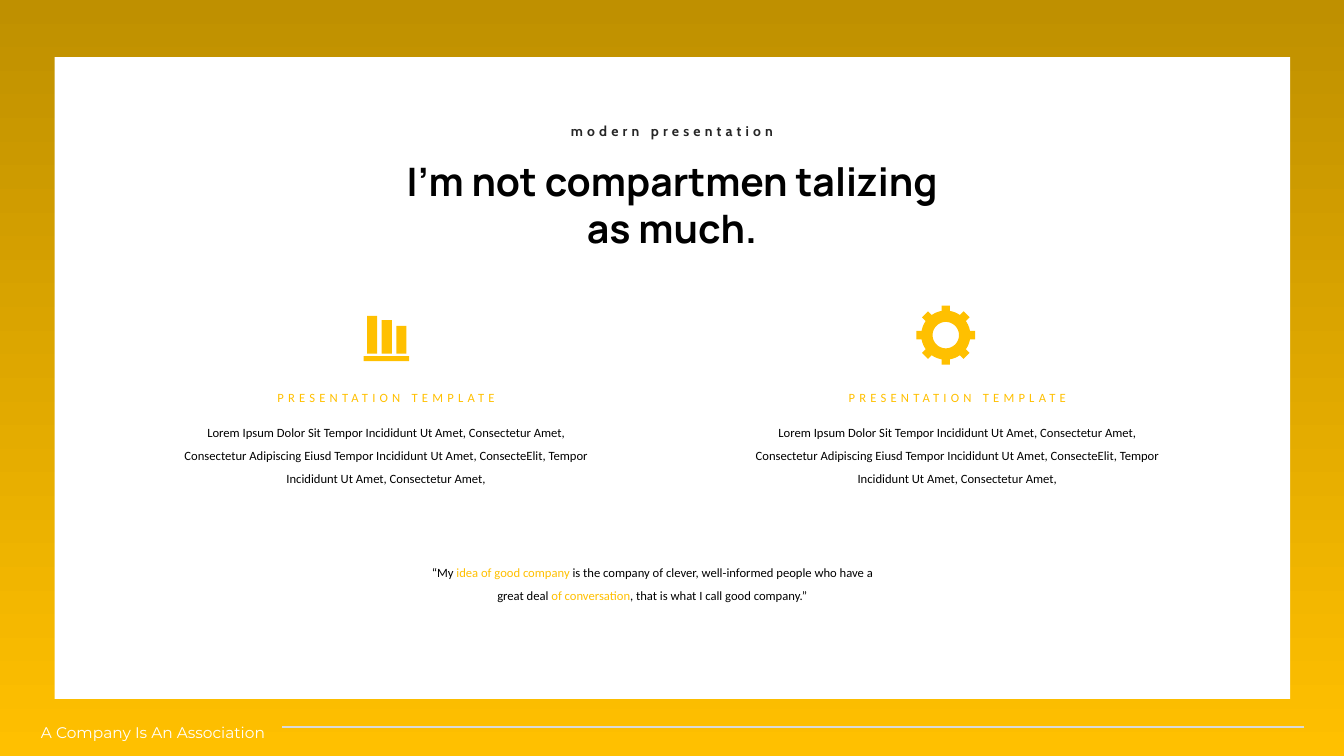
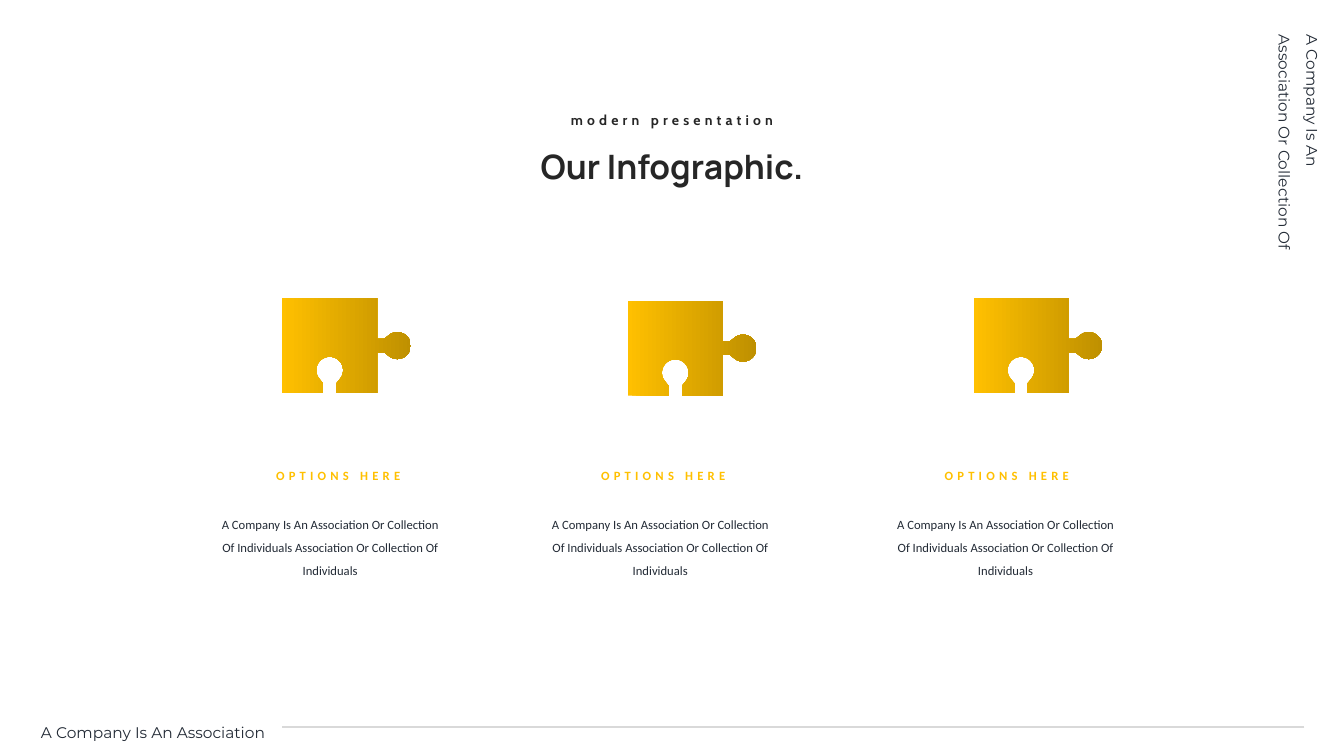
from dataclasses import dataclass
from math import cos, hypot, radians, sin

from lxml.etree import SubElement
from pptx import Presentation
from pptx.dml.color import RGBColor
from pptx.enum.shapes import MSO_CONNECTOR, MSO_SHAPE
from pptx.enum.text import MSO_ANCHOR, MSO_AUTO_SIZE, PP_ALIGN
from pptx.oxml.ns import qn
from pptx.shapes.autoshape import Shape
from pptx.slide import Slide
from pptx.util import Inches, Pt

COLORS = {
    "gold": "FFC000",
    "bronze": "BF9000",
    "white": "FFFFFF",
    "black": "000000",
    "charcoal": "262626",
    "navy": "222A35",
    "rule": "D9D9D9",
}
COLUMNS, ROWS = 160, 90
CELL = Inches(7.5) / ROWS
Point = tuple[float, float]


@dataclass(frozen=True)
class Box:
    col: float
    row: float
    cols: float
    rows: float

    def emu(self) -> list[int]:
        return [cells(n) for n in (self.col, self.row, self.cols, self.rows)]


@dataclass(frozen=True)
class Style:
    font: str
    size: float
    color: str
    bold: bool = False
    tracking: float = 0
    align: PP_ALIGN = PP_ALIGN.CENTER
    leading: float = 1.0


@dataclass(frozen=True)
class Option:
    puzzle_row: float
    label_col: float
    text_col: float


BODY = Style("Calibri", 9, "black", leading=1.5)
OPTION_BODY = Style("Calibri", 9, "navy", leading=1.5)
FEATURE_LABEL = Style("Calibri", 9, "gold", tracking=3, leading=1.5)
OPTION_LABEL = Style("Calibri", 9, "gold", bold=True, tracking=3)
EYEBROW = Style("Cabin", 10, "charcoal", bold=True, tracking=3)

FEATURE_COLS = (20.4, 88.4)
FEATURE_TEXT = (
    "Lorem Ipsum Dolor Sit Tempor Incididunt Ut Amet, Consectetur Amet, "
    "Consectetur Adipiscing Eiusd Tempor Incididunt Ut Amet, ConsecteElit, "
    "Tempor Incididunt Ut Amet, Consectetur Amet,"
)
QUOTE = (
    ("“My ", "black"),
    ("idea of good company ", "gold"),
    ("is the company of clever, well-informed people who have a great deal ", "black"),
    ("of conversation", "gold"),
    (", that is what I call good company.”", "black"),
)
OPTIONS = (
    Option(35.5, 29.8, 25),
    Option(35.8, 68.5, 64.3),
    Option(35.5, 109.4, 105.4),
)
OPTION_TEXT = (
    "A Company Is An Association Or Collection Of Individuals "
    "Association Or Collection Of Individuals"
)


def cells(count: float) -> int:
    return round(count * CELL)


def rgb(color: str) -> RGBColor:
    return RGBColor.from_string(COLORS[color])


def footer_style(color: str) -> Style:
    return Style("Montserrat", 11, color, align=PP_ALIGN.LEFT, leading=1.5)


def format_text(holder: Shape, style: Style) -> None:
    frame = holder.text_frame
    frame.word_wrap = True
    frame.auto_size = MSO_AUTO_SIZE.SHAPE_TO_FIT_TEXT
    frame.vertical_anchor = MSO_ANCHOR.TOP
    for paragraph in frame.paragraphs:
        paragraph.alignment = style.align
        paragraph.line_spacing = style.leading
        for run in paragraph.runs:
            run.font.name = style.font
            run.font.size = Pt(style.size)
            run.font.bold = style.bold
            run.font.color.rgb = rgb(style.color)
            if style.tracking:
                run.font._element.set("spc", str(int(style.tracking * 100)))


def add_text(slide: Slide, box: Box, text: str, style: Style) -> Shape:
    holder = slide.shapes.add_textbox(*box.emu())
    holder.text_frame.text = text
    format_text(holder, style)
    return holder


def paint(shape: Shape, color: str) -> None:
    shape.shadow.inherit = False
    shape.line.fill.background()
    shape.fill.solid()
    shape.fill.fore_color.rgb = rgb(color)


def paint_gradient(shape: Shape, first: str, last: str, angle: float) -> None:
    shape.shadow.inherit = False
    shape.line.fill.background()
    shape.fill.gradient()
    shape.fill.gradient_angle = angle
    for stop, color in zip(shape.fill.gradient_stops, (first, last)):
        stop.color.rgb = rgb(color)


def add_rect(slide: Slide, box: Box) -> Shape:
    return slide.shapes.add_shape(MSO_SHAPE.RECTANGLE, *box.emu())


def add_outline(slide: Slide, *contours: list[Point]) -> Shape:
    scaled = [[(cells(x), cells(y)) for x, y in contour] for contour in contours]
    builder = slide.shapes.build_freeform(*scaled[0][0])
    for index, contour in enumerate(scaled):
        if index:
            builder.move_to(*contour[0])
        builder.add_line_segments(contour[1:], close=True)
    return builder.convert_to_shape()


def turn(center: Point, point: Point, degrees: float) -> Point:
    angle = radians(degrees)
    x, y = point
    return (
        center[0] + x * cos(angle) - y * sin(angle),
        center[1] + x * sin(angle) + y * cos(angle),
    )


def add_bar_icon(slide: Slide) -> None:
    bottom = 42.1
    paint(add_rect(slide, Box(43.3, 42.4, 5.4, 0.6)), "gold")
    for index, top in enumerate((37.6, 38.1, 38.8)):
        bar = Box(43.7 + index * 1.75, top, 1.2, bottom - top)
        paint(add_rect(slide, bar), "gold")


def add_gear_icon(slide: Slide) -> None:
    center = (112.6, 39.9)
    body, tip, half_tooth, hole, teeth = 2.92, 3.5, 0.5, 1.57, 8
    pitch = 360 / teeth
    rim: list[Point] = []
    for tooth in range(teeth):
        angle = tooth * pitch
        root = (body**2 - half_tooth**2) ** 0.5
        profile = [(root, -half_tooth), (tip, -half_tooth),
                   (tip, half_tooth), (root, half_tooth)]
        rim += [turn(center, point, angle) for point in profile]
        rim += [turn(center, (body, 0), angle + step) for step in range(14, 32, 4)]
    bore = [turn(center, (hole, 0), angle) for angle in range(360, 0, -6)]
    paint(add_outline(slide, rim, bore), "gold")


def lobe(center: Point, neck_angle: float) -> list[Point]:
    radius, half_neck = 1.6, 0.8
    neck_start = (1.56, -half_neck)
    neck_end = (1.56, half_neck)
    opening = 54
    arc = [turn(center, (radius, 0), neck_angle - angle)
           for angle in range(opening, 361 - opening, 6)]
    return [turn(center, neck_start, neck_angle), *arc,
            turn(center, neck_end, neck_angle)]


def add_puzzle(slide: Slide, left: float, top: float) -> None:
    side, half_neck = 11.3, 0.8
    right, bottom = left + side, top + side
    middle_x, middle_y = left + side / 2, top + side / 2
    knob = lobe((left + 13.7, middle_y), 180)[::-1]
    slot = lobe((middle_x, top + 8.58), 90)
    edge = [
        (left, top), (right, top), (right, middle_y - half_neck),
        *knob,
        (right, middle_y + half_neck), (right, bottom),
        (middle_x + half_neck, bottom),
        *slot,
        (middle_x - half_neck, bottom), (left, bottom),
    ]
    paint_gradient(add_outline(slide, edge), "gold", "bronze", 0)


def add_heading(slide: Slide, box: Box, text: str, size: float, color: str) -> None:
    title = slide.shapes.title
    title.left, title.top, title.width, title.height = box.emu()
    title.text_frame.text = text
    format_text(title, Style("Manrope", size, color, bold=True))
    slide.shapes._spTree.append(title._element)
    add_text(slide, Box(64.4, box.row - 4.1, 31.2, 3.2), "modern presentation", EYEBROW)


def add_footer(slide: Slide, color: str) -> None:
    add_text(slide, Box(3.7, 84.4, 52.3, 4.2), "A Company Is An Association",
             footer_style(color))
    rule = slide.shapes.add_connector(
        MSO_CONNECTOR.STRAIGHT, cells(155.3), cells(86.6), cells(33.6), cells(86.6))
    rule.line.color.rgb = rgb("rule")
    rule.line.width = Pt(1.5)
    SubElement(rule._element.spPr, qn("a:effectLst"))


def add_quote(slide: Slide) -> None:
    quote = add_text(slide, Box(49.1, 65.8, 57.1, 6.7), "", BODY)
    paragraph = quote.text_frame.paragraphs[0]
    for words, _ in QUOTE:
        paragraph.add_run().text = words
    format_text(quote, BODY)
    for run, (_, color) in zip(paragraph.runs, QUOTE):
        run.font.color.rgb = rgb(color)


def build_features(slide: Slide) -> None:
    paint_gradient(add_rect(slide, Box(0, 0, COLUMNS, ROWS)), "bronze", "gold", 270)
    paint(add_rect(slide, Box(6.5, 6.8, 147.1, 76.4)), "white")
    add_quote(slide)
    add_footer(slide, "white")
    for col in FEATURE_COLS:
        add_text(slide, Box(col, 49.1, 51.1, 9.4), FEATURE_TEXT, BODY)
        add_text(slide, Box(col, 44.9, 51.1, 4), "PRESENTATION TEMPLATE", FEATURE_LABEL)
    add_bar_icon(slide)
    add_gear_icon(slide)
    add_heading(slide, Box(47.2, 18.1, 65.6, 12.5),
                "I'm not compartmen talizing as much.", 28, "black")


def build_infographic(slide: Slide) -> None:
    for index, option in enumerate(OPTIONS):
        add_puzzle(slide, 33.6 + index * 41.15, option.puzzle_row)
        add_text(slide, Box(option.text_col, 60.1, 28.6, 9.4), OPTION_TEXT, OPTION_BODY)
        label = add_text(slide, Box(option.label_col, 55.7, 20.9, 1.8),
                         "OPTIONS HERE", OPTION_LABEL)
        frame = label.text_frame
        frame.margin_left = frame.margin_right = 0
        frame.margin_top = frame.margin_bottom = 0
        frame.vertical_anchor = MSO_ANCHOR.MIDDLE
        frame.paragraphs[0].space_after = Pt(12)
    add_footer(slide, "navy")
    side_note = add_text(slide, Box(140.9, 13.7, 28.9, 7.4),
                         "A Company Is An Association Or Collection Of",
                         footer_style("navy"))
    side_note.rotation = 90
    add_heading(slide, Box(47.2, 16.8, 65.6, 6), "Our Infographic.", 24, "charcoal")


def main() -> None:
    deck = Presentation()
    deck.slide_width, deck.slide_height = cells(COLUMNS), cells(ROWS)
    title_only = deck.slide_layouts[5]
    for build in (build_features, build_infographic):
        build(deck.slides.add_slide(title_only))
    deck.save("out.pptx")


if __name__ == "__main__":
    main()
